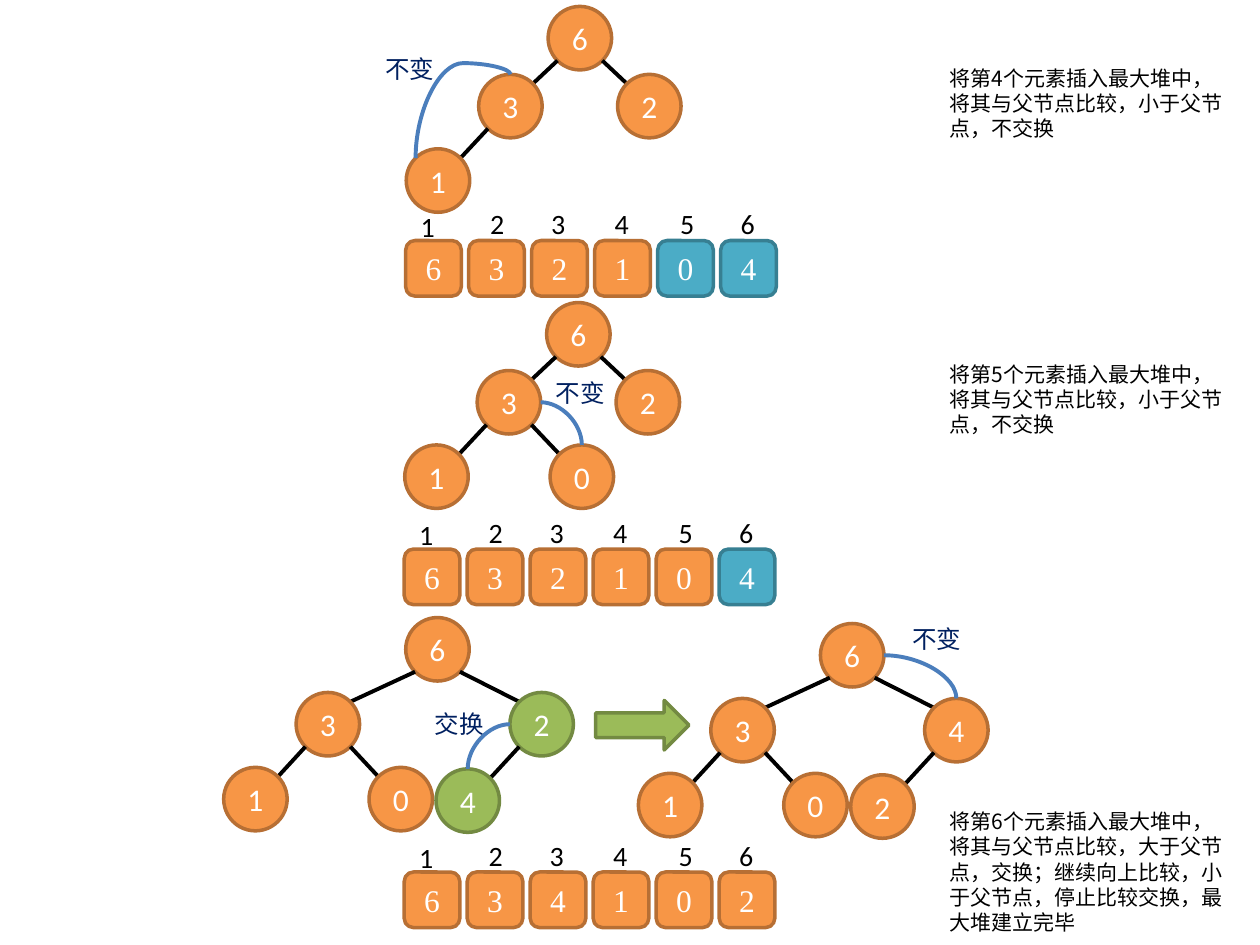
"""Build a slide showing how elements are inserted into a max heap."""
from lxml.etree import SubElement
from pptx import Presentation
from pptx.dml.color import RGBColor
from pptx.enum.shapes import MSO_CONNECTOR, MSO_SHAPE
from pptx.enum.text import MSO_ANCHOR, MSO_AUTO_SIZE, PP_ALIGN
from pptx.oxml.ns import qn
from pptx.util import Cm, Pt

WHITE = RGBColor(0xFF, 0xFF, 0xFF)
BLACK = RGBColor(0x00, 0x00, 0x00)
NAVY = RGBColor(0x00, 0x20, 0x60)
BLUE = RGBColor(0x4B, 0x7E, 0xBC)
ORANGE = (RGBColor(0xF7, 0x96, 0x46), RGBColor(0xB7, 0x6F, 0x34))
TEAL = (RGBColor(0x4B, 0xAC, 0xC6), RGBColor(0x37, 0x7F, 0x92))
GREEN = (RGBColor(0x9B, 0xBB, 0x59), RGBColor(0x73, 0x8A, 0x42))

CJK = "Noto Sans CJK JP"
NODE_FONT = {"name": "Calibri", "size": Pt(18)}
CELL_FONT = {"name": "Times New Roman", "size": Pt(18)}
INDEX_FONT = {"name": "Calibri", "size": Pt(16)}
ACTION_FONT = {"name": CJK, "size": Pt(14)}
NOTE_FONT = {"name": CJK, "size": Pt(12)}

NODE = 1.28
RADIUS = NODE / 2
DIAGONAL = RADIUS * 0.5 ** 0.5
CELL = 1.12
PITCH = 1.27
INDEX_SHIFTS = (0.05, 0.18, 0.14, 0.15, 0.2, 0.15)
NARROW = ((0, 0), (-1.4, 1.37), (1.4, 1.37), (-2.86, 2.87), (0.07, 2.87))
WIDE = ((0, 0), (-2.21, 1.51), (2.1, 1.51),
        (-3.67, 3.02), (-0.74, 3.02), (0.61, 3.05))


class HeapSlide:
    """Holds the slide and draws heap elements with lengths in centimetres."""

    def __init__(self, slide):
        self.slide = slide

    def add_text(self, tf, text, font, color, **paragraph):
        p = tf.paragraphs[0]
        for name, value in paragraph.items():
            setattr(p, name, value)
        r = p.add_run()
        r.text = text
        for name, value in font.items():
            setattr(r.font, name, value)
        r.font.color.rgb = color
        if font["name"] == CJK:
            SubElement(r.font._element, qn("a:ea")).set("typeface", CJK)

    def text(self, x, y, w, h, text, font, color=BLACK, wrap=True):
        sp = self.slide.shapes.add_textbox(Cm(x), Cm(y), Cm(w), Cm(h))
        tf = sp.text_frame
        fmt = {"word_wrap": wrap, "auto_size": MSO_AUTO_SIZE.SHAPE_TO_FIT_TEXT}
        for name, value in fmt.items():
            setattr(tf, name, value)
        self.add_text(tf, text, font, color)

    def shape(self, kind, x, y, w, h, colors, text="", font=NODE_FONT):
        sp = self.slide.shapes.add_shape(kind, Cm(x), Cm(y), Cm(w), Cm(h))
        sp.shadow.inherit = False
        sp.fill.solid()
        sp.fill.fore_color.rgb, sp.line.color.rgb = colors
        sp.line.width = Pt(2)
        if text:
            sp.text_frame.vertical_anchor = MSO_ANCHOR.MIDDLE
            self.add_text(sp.text_frame, text, font, WHITE,
                          alignment=PP_ALIGN.CENTER)

    def connector(self, kind, begin, end, color):
        ends = [Cm(v) for v in (*begin, *end)]
        cxn = self.slide.shapes.add_connector(kind, *ends)
        cxn.line.color.rgb = color
        cxn.line.width = Pt(2.25)
        SubElement(cxn._element.spPr, qn("a:effectLst"))
        return cxn

    def arc(self, side_node, top_node):
        (x1, y1), (x2, y2) = side_node, top_node
        side = RADIUS if x2 > x1 else -RADIUS
        cxn = self.connector(MSO_CONNECTOR.CURVE, (x1 + side, y1),
                             (x2, y2 - RADIUS), BLUE)
        cxn._element.spPr.find(qn("a:prstGeom")).set("prst", "curvedConnector2")

    def bow(self, child, parent, adjust):
        x1, y1 = child[0] - DIAGONAL, child[1] - DIAGONAL
        x2, y2 = parent[0], parent[1] - RADIUS
        cx, cy = (x1 + x2) / 2, (y1 + y2) / 2
        dx, dy = (x2 - x1) / 2, (y1 - y2) / 2
        cxn = self.connector(MSO_CONNECTOR.CURVE, (cx + dy, cy + dx),
                             (cx - dy, cy - dx), BLUE)
        spPr = cxn._element.spPr
        spPr.find(qn("a:xfrm")).set("rot", str(90 * 60000))
        guides = spPr.find(qn("a:prstGeom")).find(qn("a:avLst"))
        gd = SubElement(guides, qn("a:gd"))
        gd.set("name", "adj1")
        gd.set("fmla", f"val {adjust}")

    def tree(self, x, y, layout, values, changed=()):
        centers = {i: (x + dx, y + dy)
                   for i, (dx, dy) in enumerate(layout[:len(values)], 1)}
        for i, (cx, cy) in centers.items():
            if i > 1:
                px, py = centers[i // 2]
                side = DIAGONAL if i % 2 else -DIAGONAL
                self.connector(MSO_CONNECTOR.STRAIGHT,
                               (px + side, py + DIAGONAL),
                               (cx - side, cy - DIAGONAL), BLACK)
            self.shape(MSO_SHAPE.OVAL, cx - RADIUS, cy - RADIUS, NODE, NODE,
                       GREEN if i in changed else ORANGE, values[i - 1])
        return centers

    def array(self, x, y, values, heap_size):
        for i, (value, shift) in enumerate(zip(values, INDEX_SHIFTS)):
            left = x + i * PITCH
            self.shape(MSO_SHAPE.ROUNDED_RECTANGLE, left, y, CELL, CELL,
                       ORANGE if i < heap_size else TEAL, value, CELL_FONT)
            top = y - (0.81 if i else 0.76)
            self.text(left + shift, top, 0.81, 0.94, str(i + 1), INDEX_FONT,
                      wrap=False)

    def action(self, x, y, text):
        self.text(x, y, 1.78, 0.86, text, ACTION_FONT, NAVY)

    def note(self, y, h, text):
        self.text(18.9, y, 6.2, h, text, NOTE_FONT)


def main():
    prs = Presentation()
    prs.slide_width, prs.slide_height = Cm(25.4), Cm(19.05)
    s = HeapSlide(prs.slides.add_slide(prs.slide_layouts[6]))

    fourth = s.tree(11.69, 0.77, NARROW, "6321")
    s.bow(fourth[4], fourth[2], 113500)
    s.action(7.52, 0.97, "不变")
    s.array(8.18, 4.85, "632104", 4)
    s.note(1.19, 1.8, "将第4个元素插入最大堆中，将其与父节点比较，小于父节点，不交换")

    fifth = s.tree(11.66, 6.74, NARROW, "63210")
    s.arc(fifth[2], fifth[5])
    s.action(10.95, 7.49, "不变")
    s.array(8.15, 11.07, "632104", 5)
    s.note(7.16, 1.8, "将第5个元素插入最大堆中，将其与父节点比较，小于父节点，不交换")

    before = s.tree(8.82, 13.09, WIDE, "632104", changed=(3, 6))
    s.arc(before[3], before[6])
    s.action(8.51, 14.17, "交换")
    s.shape(MSO_SHAPE.RIGHT_ARROW, 12.01, 14.12, 1.88, 1, GREEN)
    after = s.tree(17.18, 13.21, WIDE, "634102")
    s.arc(after[1], after[3])
    s.action(18.14, 12.45, "不变")
    s.array(8.15, 17.58, "634102", 6)
    s.note(16.18, 2.82, "将第6个元素插入最大堆中，将其与父节点比较，大于父节点，交换；"
           "继续向上比较，小于父节点，停止比较交换，最大堆建立完毕")

    prs.save("out.pptx")


if __name__ == "__main__":
    main()
